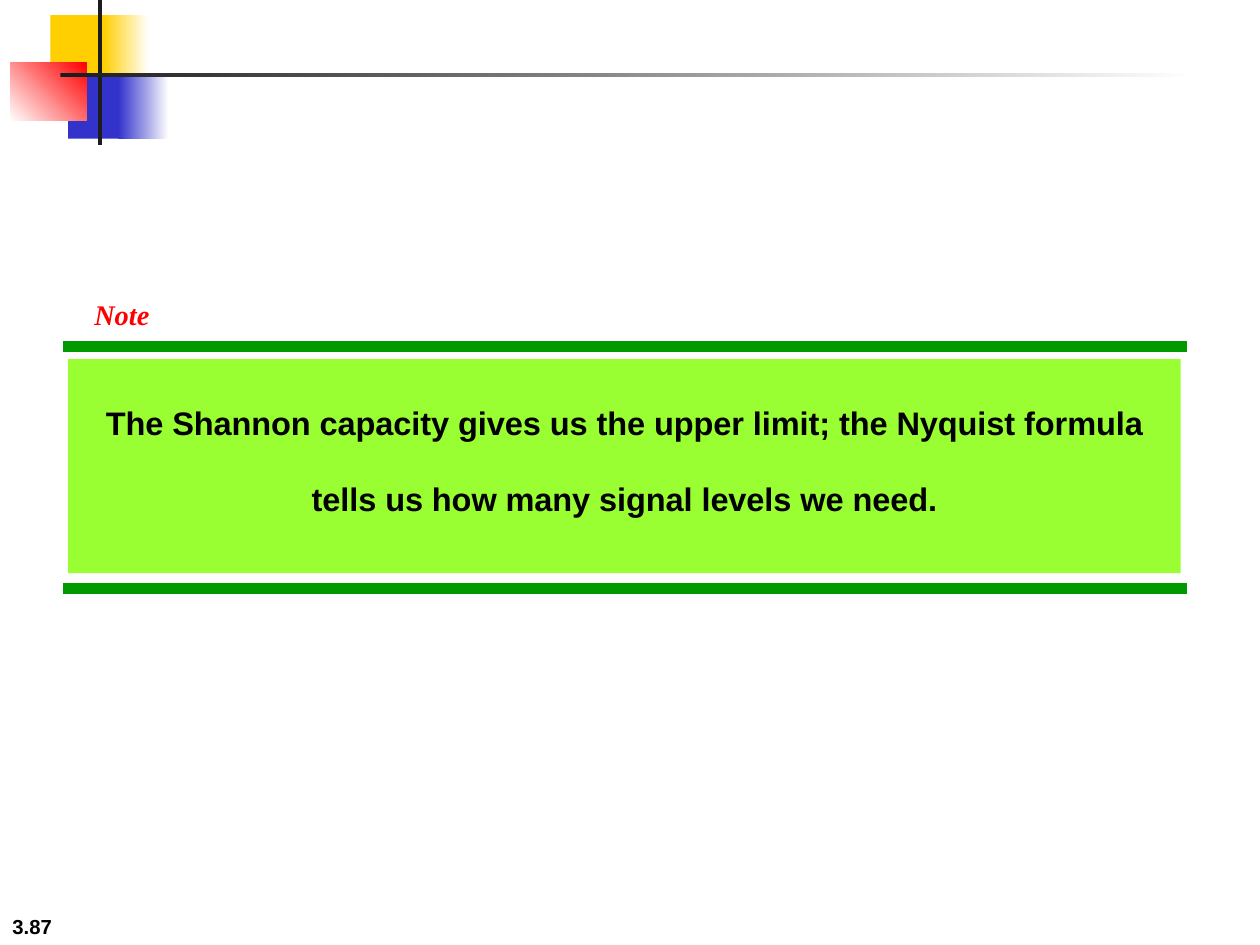
from lxml import etree
from pptx import Presentation
from pptx.dml.color import RGBColor
from pptx.enum.shapes import MSO_CONNECTOR, MSO_SHAPE
from pptx.enum.text import MSO_ANCHOR, MSO_AUTO_SIZE, PP_ALIGN
from pptx.oxml.ns import qn
from pptx.util import Inches, Pt

COLORS = {
    "yellow": "FFCF01",
    "blue": "3333CC",
    "red": "FF0000",
    "white": "FFFFFF",
    "dark": "1C1C1C",
    "green": "009900",
    "lime": "99FF33",
    "black": "000000",
}

deck = Presentation()
deck.slide_width, deck.slide_height = Inches(10), Inches(7.5)
page = deck.slides.add_slide(deck.slide_layouts[6])


def add_block(left, top, width, height, start, end=None, angle=0):
    block = page.shapes.add_shape(
        MSO_SHAPE.RECTANGLE, Inches(left), Inches(top), Inches(width), Inches(height))
    block.shadow.inherit = False
    block.line.fill.background()
    if end is None:
        block.fill.solid()
        block.fill.fore_color.rgb = RGBColor.from_string(COLORS[start])
    else:
        block.fill.gradient()
        block.fill.gradient_angle = angle
        for stop, color, position in zip(block.fill.gradient_stops, (start, end), (0, 1)):
            stop.color.rgb = RGBColor.from_string(COLORS[color])
            stop.position = position
    return block


def write_text(box, text, size, font="Arial", color="black", italic=None):
    para = box.text_frame.paragraphs[0]
    para.text = text
    span = para.runs[0]
    span.font.name = font
    span.font.size = Pt(size)
    span.font.bold = True
    span.font.italic = italic
    span.font.color.rgb = RGBColor.from_string(COLORS[color])
    # All text on this slide is set as subscript
    span.font._element.set("baseline", "-25000")
    return para


# Slide number
number = page.shapes.add_textbox(Inches(0), Inches(7), Inches(2.08), Inches(0.5))
number.text_frame.word_wrap = True
number.text_frame.vertical_anchor = MSO_ANCHOR.BOTTOM
write_text(number, "3.87", 20)

# Corner decoration: squares, then the crossing bars
for left, top, width, height, *fill in [
    (0.4, 0.12, 0.48, 0.52, "yellow"),
    (0.82, 0.12, 0.36, 0.52, "yellow", "white"),
    (0.54, 0.58, 0.46, 0.52, "blue"),
    (0.94, 0.58, 0.4, 0.52, "blue", "white"),
    (0.08, 0.5, 0.61, 0.46, "white", "red", 45),
    (0.78, 0, 0.03, 1.15, "dark"),
    (0.48, 0.58, 9, 0.03, "dark", "white"),
]:
    add_block(left, top, width, height, *fill)

# Rules above and below the statement
for y in (2.75, 4.67):
    rule = page.shapes.add_connector(
        MSO_CONNECTOR.STRAIGHT, Inches(0.5), Inches(y), Inches(9.42), Inches(y))
    rule.line.color.rgb = RGBColor.from_string(COLORS["green"])
    rule.line.width = Pt(6)
    etree.SubElement(rule._element.spPr, qn("a:effectLst"))

# Statement
statement = add_block(0.54, 2.85, 8.83, 1.7, "lime")
statement.text_frame.word_wrap = True
statement.text_frame.auto_size = MSO_AUTO_SIZE.SHAPE_TO_FIT_TEXT
statement.text_frame.vertical_anchor = MSO_ANCHOR.TOP
para = write_text(
    statement,
    "The Shannon capacity gives us the upper limit; the Nyquist formula "
    "tells us how many signal levels we need.", 32)
para.alignment = PP_ALIGN.CENTER

# Note label
note = page.shapes.add_textbox(Inches(0.65), Inches(2.05), Inches(0.96), Inches(0.57))
note.text_frame.word_wrap = False
note.text_frame.auto_size = MSO_AUTO_SIZE.SHAPE_TO_FIT_TEXT
write_text(note, "Note", 28, "Times New Roman", "red", True)

deck.save("out.pptx")
